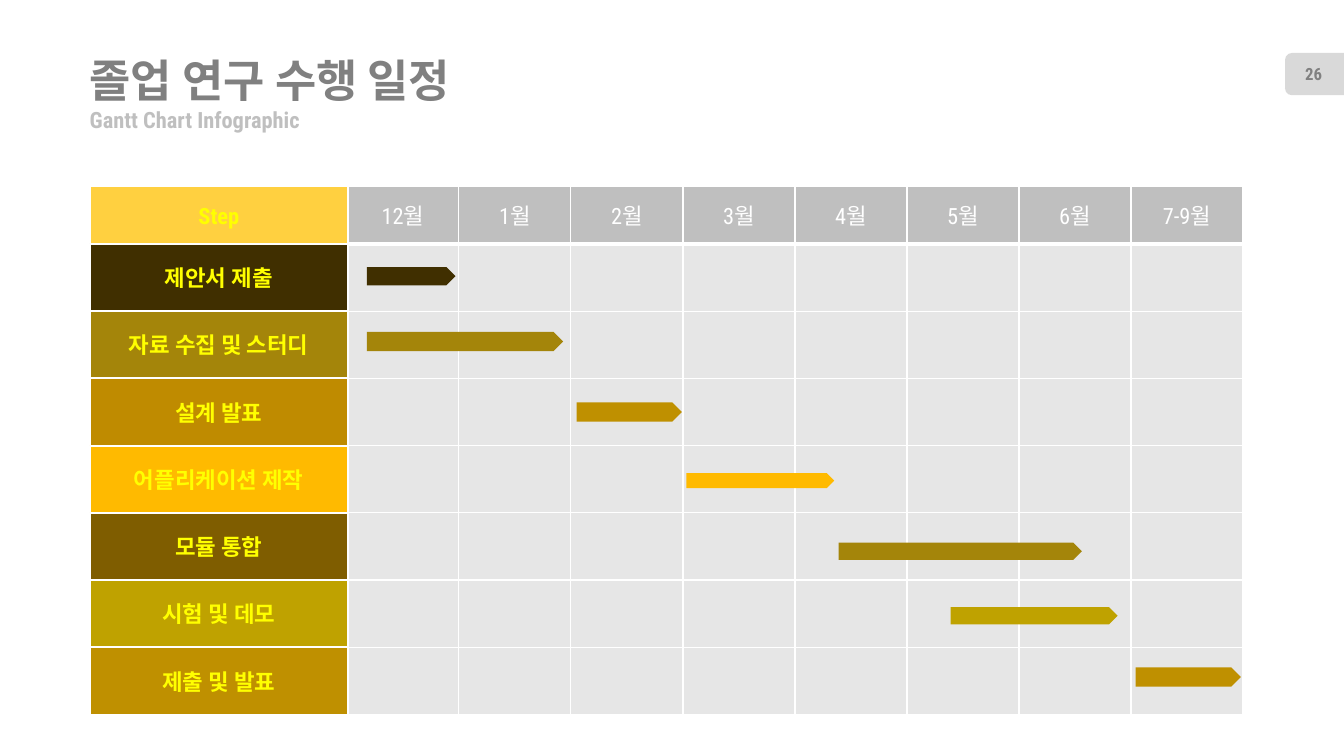
from dataclasses import dataclass

from lxml.etree import SubElement
from pptx import Presentation
from pptx.dml.color import RGBColor
from pptx.enum.shapes import MSO_SHAPE
from pptx.enum.text import MSO_ANCHOR, PP_ALIGN
from pptx.oxml.ns import qn
from pptx.util import Inches, Pt

TITLE = "졸업 연구 수행 일정"
SUB = "Gantt Chart Infographic"
PAGE = "26"
HEAD = "Step"
MONTHS = ["12월", "1월", "2월", "3월", "4월", "5월", "6월", "7-9월"]

# label, label colour, bar colour, first column, columns, middle in row, bar height
STEPS = [
    ("제안서 제출", "402F00", "402F00", 0.18, 0.79, 0.48, 0.18),
    ("자료 수집 및 스터디", "A4850A", "A4850A", 0.18, 1.75, 0.45, 0.19),
    ("설계 발표", "BF8B00", "BF9000", 2.05, 0.94, 0.5, 0.19),
    ("어플리케이션 제작", "FFBA00", "FFBA00", 3.03, 1.32, 0.52, 0.15),
    ("모듈 통합", "7F5D00", "A4850A", 4.39, 2.17, 0.57, 0.17),
    ("시험 및 데모", "BFA200", "BFA200", 5.39, 1.49, 0.53, 0.17),
    ("제출 및 발표", "BF9000", "BF9000", 7.04, 0.94, 0.44, 0.19),
]


@dataclass(frozen=True)
class Theme:
    face: str = "Roboto"
    slim: str = "Roboto Condensed"
    big: int = 32
    mid: int = 16
    small: int = 12
    white: str = "FFFFFF"
    grey: str = "808080"
    soft: str = "BFBFBF"
    badge: str = "D9D9D9"
    cell: str = "E6E6E6"
    step: str = "FFD040"
    label: str = "FFFF00"


LOOK = Theme()
WIDE, HIGH = 13.33, 7.5
LEFT, TOP = 0.89, 1.85
SIDE = 2.56
GRID = LEFT + SIDE - 0.01
COL = 8.89 / len(MONTHS)
HEAD_H = 0.57
ROW = (5.24 - HEAD_H) / len(STEPS)
BODY = TOP + HEAD_H


def box(*sizes):
    return [Inches(size) for size in sizes]


def paint(item, color):
    item.fill.solid()
    item.fill.fore_color.rgb = RGBColor.from_string(color)


def write(frame, text, size, color, face=LOOK.slim, bold=True, align=PP_ALIGN.CENTER):
    frame.text = text
    para = frame.paragraphs[0]
    para.alignment = align
    font = para.font
    font.name, font.size, font.bold = face, Pt(size), bold
    font.color.rgb = RGBColor.from_string(color)


def trim(frame):
    frame.margin_left = frame.margin_right = 0
    frame.margin_top = frame.margin_bottom = 0
    frame.word_wrap = True
    frame.vertical_anchor = MSO_ANCHOR.MIDDLE


def shape(slide, kind, place, color):
    item = slide.shapes.add_shape(kind, *box(*place))
    item.shadow.inherit = False
    paint(item, color)
    item.line.fill.background()
    return item


def label(slide, text, top, height, color):
    item = shape(slide, MSO_SHAPE.RECTANGLE, (LEFT, top, SIDE, height), color)
    item.line.color.rgb = RGBColor.from_string(LOOK.white)
    item.line.width = Pt(1.5)
    item.text_frame.vertical_anchor = MSO_ANCHOR.MIDDLE
    write(item.text_frame, text, LOOK.mid, LOOK.label)


def edge(cell, base):
    props = cell._tc.get_or_add_tcPr()
    for spot, (side, width) in enumerate(
        [("lnL", 1), ("lnR", 1), ("lnT", 1), ("lnB", base)]
    ):
        line = SubElement(props, qn(f"a:{side}"), w=str(Pt(width)))
        fill = SubElement(line, qn("a:solidFill"))
        SubElement(fill, qn("a:srgbClr"), val=LOOK.white)
        props.insert(spot, line)


def add_head(slide):
    title = slide.shapes.title
    title.left, title.top, title.width, title.height = box(LEFT, 0.53, 8.22, 0.52)
    trim(title.text_frame)
    write(title.text_frame, TITLE, LOOK.big, LOOK.grey, LOOK.face, align=PP_ALIGN.LEFT)

    sub = slide.shapes.add_textbox(*box(LEFT, 1.04, 6, 0.29)).text_frame
    trim(sub)
    write(sub, SUB, LOOK.mid, LOOK.soft, align=PP_ALIGN.LEFT)

    badge = shape(
        slide, MSO_SHAPE.ROUND_2_SAME_RECTANGLE, (12.83, 0.44, 0.42, 0.59), LOOK.badge
    )
    badge.rotation = 270
    page = slide.shapes.add_textbox(*box(12.75, 0.53, 0.56, 0.4)).text_frame
    trim(page)
    write(page, PAGE, LOOK.small, LOOK.grey)


def add_grid(slide):
    place = box(GRID, TOP, COL * len(MONTHS), HEAD_H + ROW * len(STEPS))
    grid = slide.shapes.add_table(len(STEPS) + 1, len(MONTHS), *place).table
    for col in grid.columns:
        col.width = Inches(COL)
    for r, row in enumerate(grid.rows):
        row.height = Inches(ROW if r else HEAD_H)
        for c, cell in enumerate(row.cells):
            paint(cell, LOOK.cell if r else LOOK.soft)
            edge(cell, 1 if r else 3)
            if r == 0:
                cell.vertical_anchor = MSO_ANCHOR.MIDDLE
                cell.margin_left = cell.margin_right = Inches(0.13)
                cell.margin_top = cell.margin_bottom = Inches(0.07)
                write(cell.text_frame, MONTHS[c], LOOK.mid, LOOK.white, bold=False)


def add_steps(slide):
    label(slide, HEAD, TOP, HEAD_H, LOOK.step)
    for r, (text, fill, tint, start, span, mid, thick) in enumerate(STEPS):
        label(slide, text, BODY + r * ROW, ROW, fill)
        top = BODY + (r + mid) * ROW - thick / 2
        place = (GRID + start * COL, top, span * COL, thick)
        bar = shape(slide, MSO_SHAPE.RIGHT_ARROW, place, tint)
        bar.adjustments[0], bar.adjustments[1] = 1, 0.5


def main():
    deck = Presentation()
    deck.slide_width, deck.slide_height = box(WIDE, HIGH)
    slide = deck.slides.add_slide(deck.slide_layouts[5])
    add_head(slide)
    add_grid(slide)
    add_steps(slide)
    deck.save("out.pptx")


if __name__ == "__main__":
    main()
